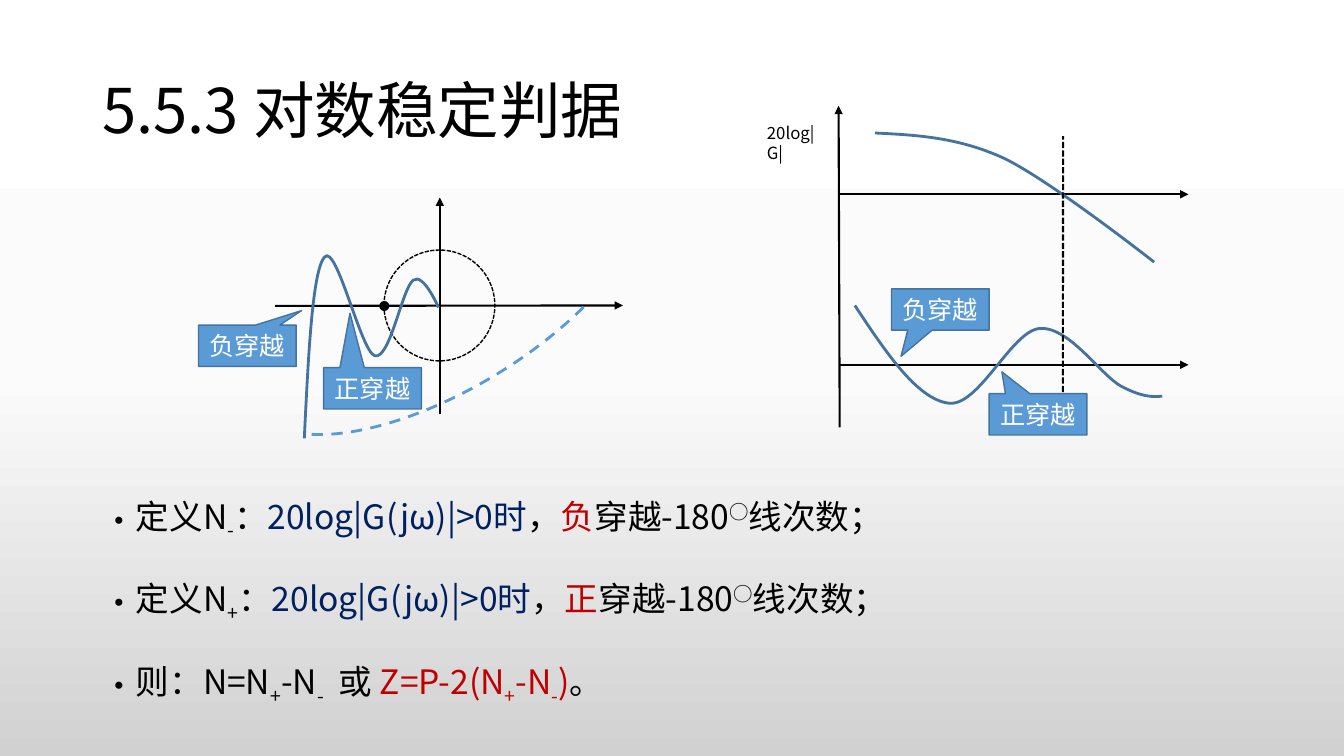
from dataclasses import dataclass

from pptx import Presentation
from pptx.dml.color import RGBColor
from pptx.enum.dml import MSO_LINE
from pptx.enum.shapes import MSO_CONNECTOR, MSO_SHAPE
from pptx.enum.text import MSO_ANCHOR, PP_ALIGN
from pptx.oxml import parse_xml
from pptx.oxml.ns import nsdecls
from pptx.oxml.xmlchemy import OxmlElement
from pptx.util import Pt


@dataclass(frozen=True)
class Theme:
    font: str = "Noto Sans CJK SC"
    ink: str = "000000"
    navy: str = "002060"
    red: str = "C00000"
    blue: str = "5B9BD5"
    curve: str = "43739E"
    white: str = "FFFFFF"
    backdrop: tuple = ((0, "FFFFFF"), (50, "FBFBFB"), (100, "D1D1D1"))
    title: int = 44
    body: int = 24
    callout: int = 18
    axis_label: int = 12


THEME = Theme()

# Content: runs are (text, colour, baseline shift in percent)
INK, NAVY, RED = THEME.ink, THEME.navy, THEME.red
TITLE = "5.5.3 对数稳定判据"
GAIN_LABEL = "20log|G|"
NEGATIVE, POSITIVE = "负穿越", "正穿越"


def definition(sign, crossing):
    return [("定义N", INK, 0), (sign, INK, -25), ("：", INK, 0),
            ("20log|G(jω)|>0时", NAVY, 0), ("，", INK, 0), (crossing, RED, 0),
            ("穿越-180", INK, 0), ("○", INK, 30), ("线次数；", INK, 0)]


CRITERIA = [
    definition("-", "负"),
    definition("+", "正"),
    [("则：N=N", INK, 0), ("+", INK, -25), ("-N", INK, 0), ("-", INK, -25),
     ("  或 ", INK, 0), ("Z=P-2(N", RED, 0), ("+", RED, -25), ("-N", RED, 0),
     ("-", RED, -25), (")", RED, 0), ("。", INK, 0)],
]

# Axes: start and end points
NYQUIST_AXES = [((196.6, 218.5), (445, 218.2)), ((314.2, 295.9), (314.2, 141.1))]
BODE_AXES = [
    ((599.8, 305.3), (599, 75.6)),
    ((599.8, 138.8), (848.9, 138.8)),
    ((599.8, 260.6), (848.9, 260.6)),
]
CROSSOVER = ((759.2, 280.1), (759.4, 97.2))

# Curves: a start point, then cubic segments (two controls and an end)
NYQUIST = [(217.4, 313.2),
           (220.3, 253.4), (223.2, 193.7), (231.8, 183.6),
           (240.5, 173.5), (257.8, 251.3), (267.8, 254.2),
           (278.6, 257), (287.3, 205.9), (295.2, 200.2),
           (302.4, 194.4), (313.2, 219.6), (313.2, 219.6)]
PHASE = [(610.6, 218.2),
         (632.9, 252), (655.2, 285.1), (677.5, 288),
         (699.1, 290.9), (722.2, 236.9), (742.3, 234.7),
         (763.2, 232.6), (786.2, 267.8), (800.6, 275.8),
         (815.8, 283.7), (823, 283.7), (830.2, 283)]
GAIN = [(625, 95),
        (654.5, 96.5), (684, 97.9), (717.1, 113),
        (750.2, 128.9), (824.4, 187.2), (824.4, 187.2)]

# Callouts: text, left, top, pointer offset as a share of the size
CALLOUT_SIZE = (69.8, 29.5)
CALLOUTS = [
    (NEGATIVE, 141.8, 232.2, (0.555, -0.851)),
    (POSITIVE, 231.2, 262.6, (-0.23, -1.818)),
    (NEGATIVE, 636.8, 206.3, (-0.402, 1.134)),
    (POSITIVE, 706.6, 281.2, (-0.37, -1.029)),
]

deck = Presentation()
deck.slide_width, deck.slide_height = Pt(960), Pt(540)
slide = deck.slides.add_slide(deck.slide_layouts[6])
shapes = slide.shapes


def rgb(colour):
    return RGBColor.from_string(colour)


def add_run(paragraph, text, size, colour, shift=0):
    run = paragraph.add_run()
    run.text = text
    run.font.size = Pt(size)
    run.font.name = THEME.font
    run.font.color.rgb = rgb(colour)
    props = run.font._element
    east_asian = OxmlElement("a:ea")
    east_asian.set("typeface", THEME.font)
    props.find("{*}latin").addnext(east_asian)
    if shift:
        props.set("baseline", str(shift * 1000))


def add_frame(left, top, width, height):
    frame = shapes.add_textbox(Pt(left), Pt(top), Pt(width), Pt(height)).text_frame
    frame.word_wrap = True
    return frame


def style_line(part, colour, width, dash=None):
    part.line.color.rgb = rgb(colour)
    part.line.width = Pt(width)
    if dash:
        part.line.dash_style = dash


def add_line(start, end, dash=None, arrow=False, parent=shapes):
    line = parent.add_connector(MSO_CONNECTOR.STRAIGHT,
                                *(Pt(value) for value in start + end))
    style_line(line, THEME.ink, 1.5, dash)
    if arrow:
        head = OxmlElement("a:tailEnd")
        head.set("type", "triangle")
        line.line._get_or_add_ln().append(head)
    line._element.spPr.append(OxmlElement("a:effectLst"))


def add_preset(kind, left, top, width, height, fill=None, parent=shapes):
    shape = parent.add_shape(kind, Pt(left), Pt(top), Pt(width), Pt(height))
    shape.shadow.inherit = False
    if fill:
        shape.fill.solid()
        shape.fill.fore_color.rgb = rgb(fill)
    else:
        shape.fill.background()
    return shape


def add_curve(points):
    anchors = [(Pt(x), Pt(y)) for x, y in points[::3]]
    builder = shapes.build_freeform(*anchors[0])
    builder.add_line_segments(anchors[1:], close=False)
    curve = builder.convert_to_shape()
    # Bend each straight segment by its two control points
    for index, straight in enumerate(list(curve._element.iter("{*}lnTo"))):
        bend = OxmlElement("a:cubicBezTo")
        for x, y in points[3 * index + 1:3 * index + 4]:
            corner = OxmlElement("a:pt")
            corner.set("x", str(Pt(x) - curve.left))
            corner.set("y", str(Pt(y) - curve.top))
            bend.append(corner)
        straight.getparent().replace(straight, bend)
    curve.shadow.inherit = False
    curve.fill.background()
    style_line(curve, THEME.curve, 2)


# Background gradient
stops = "".join(f'<a:gs pos="{at * 1000}"><a:srgbClr val="{colour}"/></a:gs>'
                for at, colour in THEME.backdrop)
slide.element.cSld.insert(0, parse_xml(
    f'<p:bg {nsdecls("p", "a")}><p:bgPr><a:gradFill rotWithShape="1"><a:gsLst>{stops}'
    '</a:gsLst><a:lin ang="5400000" scaled="0"/></a:gradFill><a:effectLst/></p:bgPr></p:bg>'))

# Title
title = add_frame(66, 28.8, 828, 104.4)
title.vertical_anchor = MSO_ANCHOR.MIDDLE
title.paragraphs[0].line_spacing = 0.9
add_run(title.paragraphs[0], TITLE, THEME.title, INK)

# Criteria
criteria = add_frame(66, 333.4, 828, 172.8)
criteria.margin_top = Pt(4.2)
for index, runs in enumerate(CRITERIA):
    paragraph = criteria.add_paragraph() if index else criteria.paragraphs[0]
    props = paragraph._p.get_or_add_pPr()
    props.set("marL", str(Pt(18)))
    props.set("indent", str(-Pt(18)))
    for tag, key, value in (("a:buFont", "typeface", THEME.font), ("a:buChar", "char", "•")):
        bullet = OxmlElement(tag)
        bullet.set(key, value)
        props.append(bullet)
    paragraph.line_spacing = 1.5
    paragraph.space_before = Pt(10 if index else 0)
    for text, colour, shift in runs:
        add_run(paragraph, text, THEME.body, colour, shift)

# Nyquist axes with the critical point
nyquist_axes = shapes.add_group_shape().shapes
for start, end in NYQUIST_AXES:
    add_line(start, end, arrow=True, parent=nyquist_axes)
critical_point = add_preset(MSO_SHAPE.OVAL, 270.9, 215, 7.2, 7.2, THEME.ink, nyquist_axes)
critical_point.line.fill.background()

# Closing arc, Bode axes and unit circle
closing_arc = add_preset(MSO_SHAPE.ARC, 251.3, 51.1, 135.4, 317.5)
closing_arc.rotation = 58.8
closing_arc.adjustments[0], closing_arc.adjustments[1] = 184.05, 45.8
style_line(closing_arc, THEME.blue, 2, MSO_LINE.DASH)
for start, end in BODE_AXES:
    add_line(start, end, arrow=True)
unit_circle = add_preset(MSO_SHAPE.OVAL, 274.3, 178.6, 79.2, 79.2)
style_line(unit_circle, THEME.ink, 1, MSO_LINE.SQUARE_DOT)

# Curves and crossover frequency
for points in (NYQUIST, PHASE, GAIN):
    add_curve(points)
add_line(*CROSSOVER, dash=MSO_LINE.SQUARE_DOT)

# Crossing callouts
for text, left, top, pointer in CALLOUTS:
    callout = add_preset(MSO_SHAPE.RECTANGULAR_CALLOUT, left, top, *CALLOUT_SIZE, THEME.blue)
    callout.adjustments[0], callout.adjustments[1] = pointer
    style_line(callout, THEME.curve, 1)
    callout.text_frame.vertical_anchor = MSO_ANCHOR.MIDDLE
    callout.text_frame.paragraphs[0].alignment = PP_ALIGN.CENTER
    add_run(callout.text_frame.paragraphs[0], text, THEME.callout, THEME.white)

# Gain axis label
gain_label = add_frame(540.7, 84.2, 59, 21.6)
add_run(gain_label.paragraphs[0], GAIN_LABEL, THEME.axis_label, INK)

deck.save("out.pptx")
